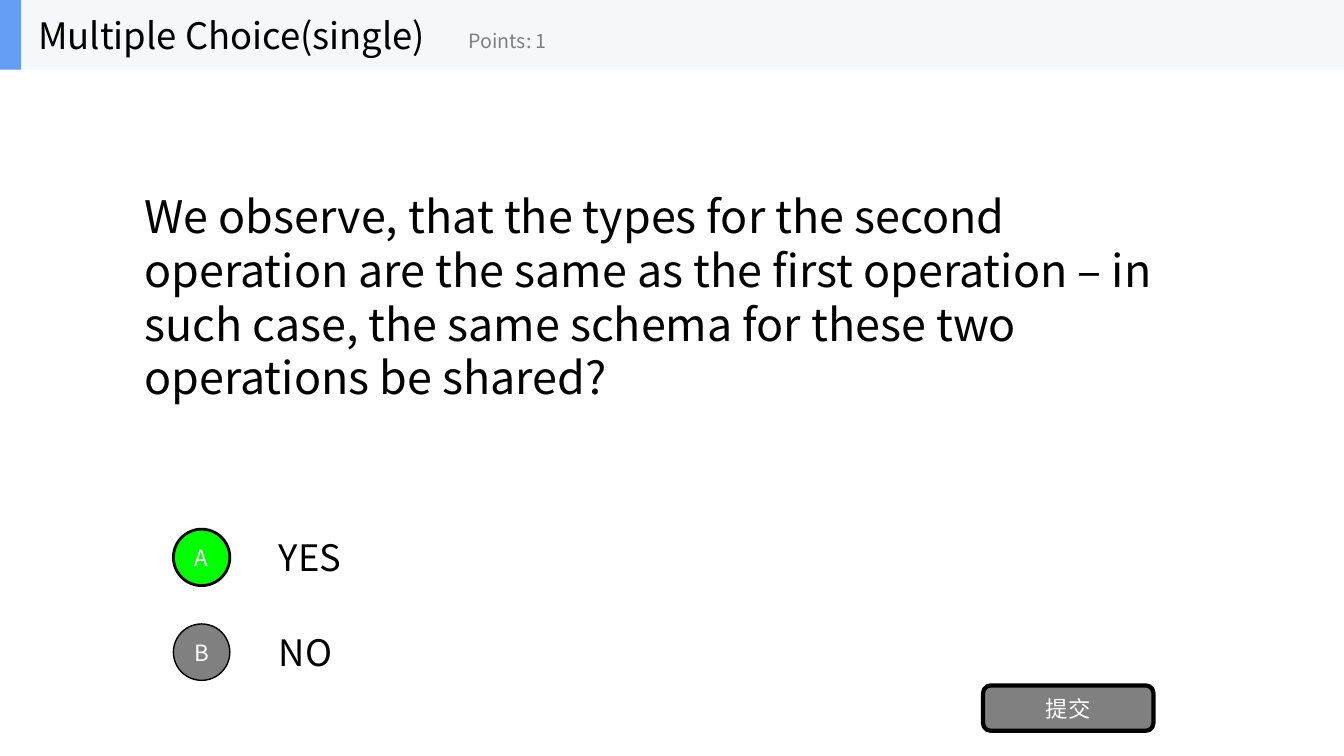
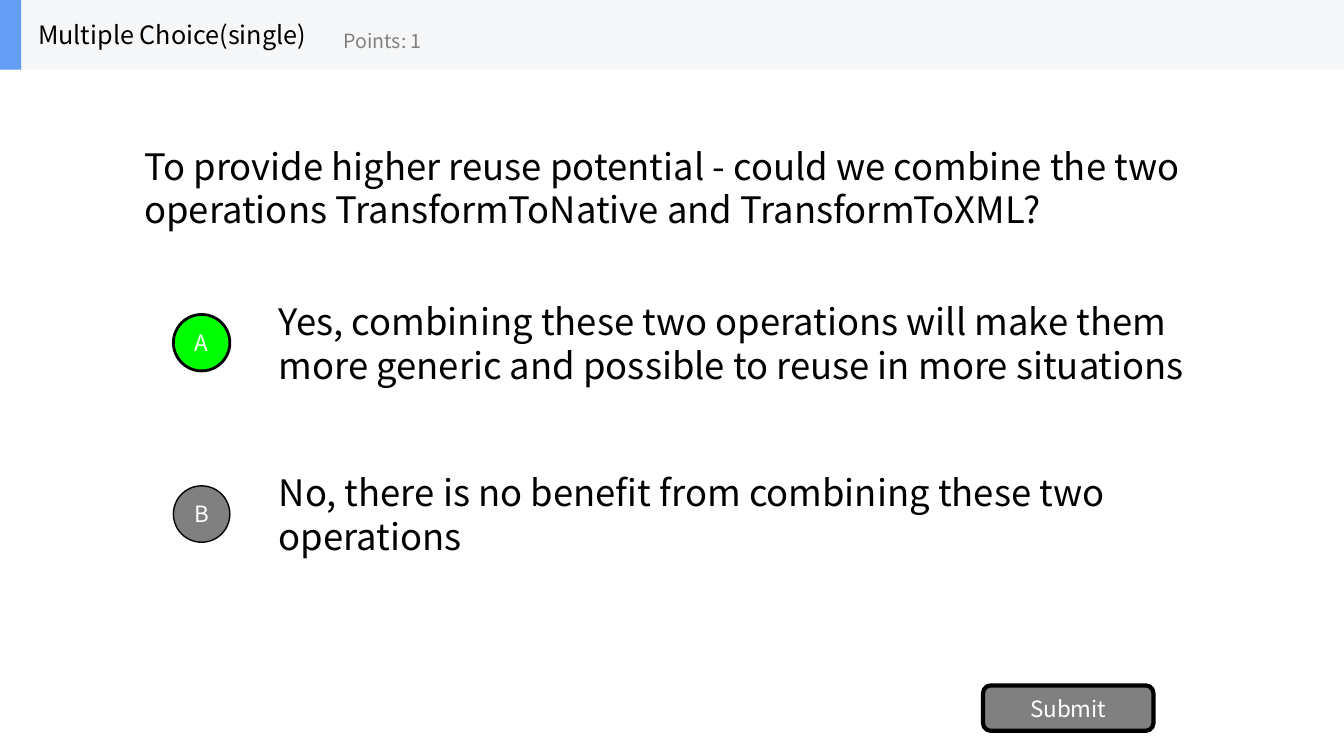
from pptx import Presentation
from pptx.dml.color import RGBColor
from pptx.enum.shapes import MSO_SHAPE
from pptx.enum.text import MSO_ANCHOR, PP_ALIGN
from pptx.oxml.ns import qn
from pptx.util import Inches, Pt
from lxml import etree

RECT, ROUND, OVAL = MSO_SHAPE.RECTANGLE, MSO_SHAPE.ROUNDED_RECTANGLE, MSO_SHAPE.OVAL
MIDDLE = MSO_ANCHOR.MIDDLE
LEFT, CENTER = PP_ALIGN.LEFT, PP_ALIGN.CENTER

# Shared style
FONT = "Noto Sans CJK SC"
BLACK, WHITE, GRAY = "000000", "FFFFFF", "808080"
GREEN, BAND, ACCENT = "00FF00", "F6F7F8", "639EF4"

# Shared grid, in inches
WIDTH, HEIGHT = 13.33, 7.5
COLUMN = WIDTH / 10
BAND_HEIGHT = 0.69
TITLE_LEFT = 0.28
QUESTION_HEIGHT = 2.34
OPTION_HEIGHT = 0.7
BADGE = 0.56
BADGE_LEFT = 1.72

QUIZ = [
    dict(
        title_size=26, points_left=4.55,
        question="We observe, that the types for the second operation are the same "
                 "as the first operation – in such case, the same schema for these "
                 "two operations be shared?",
        question_top=1.77, question_size=32,
        options=["YES", "NO"], options_top=5.18, option_step=0.94,
        button="提交",
    ),
    dict(
        title_size=18, points_left=3.31,
        question="To provide higher reuse potential - could we combine the two "
                 "operations TransformToNative and TransformToXML?",
        question_top=0.69, question_size=26,
        options=["Yes, combining these two operations will make them more generic "
                 "and possible to reuse in more situations",
                 "No, there is no benefit from combining these two operations"],
        options_top=3.05, option_step=1.7,
        button="Submit",
    ),
]


def rgb(value):
    return RGBColor.from_string(value)


def write(shape, text, size=26, color=BLACK, align=LEFT):
    frame = shape.text_frame
    frame.word_wrap = True
    frame.vertical_anchor = MIDDLE
    paragraph = frame.paragraphs[0]
    paragraph.alignment = align
    run = paragraph.add_run()
    run.text = text
    run.font.size = Pt(size)
    run.font.name = FONT
    run.font.color.rgb = rgb(color)
    # East Asian characters take their font from a separate element
    east_asian = etree.SubElement(run.font._element, qn("a:ea"))
    east_asian.set("typeface", FONT)


def add_text(slide, text, left, top, width, height, **style):
    box = slide.shapes.add_textbox(*map(Inches, (left, top, width, height)))
    write(box, text, **style)


def add_block(slide, kind, left, top, width, height, fill, line_width=0):
    block = slide.shapes.add_shape(kind, *map(Inches, (left, top, width, height)))
    block.shadow.inherit = False
    block.fill.solid()
    block.fill.fore_color.rgb = rgb(fill)
    if line_width:
        block.line.color.rgb = rgb(BLACK)
        block.line.width = Pt(line_width)
    else:
        block.line.fill.background()
    return block


def add_label(slide, kind, text, left, top, width, height, fill, line_width):
    block = add_block(slide, kind, left, top, width, height, fill, line_width)
    frame = block.text_frame
    frame.margin_left = frame.margin_right = frame.margin_top = frame.margin_bottom = 0
    write(block, text, size=16, color=WHITE, align=CENTER)


def add_header(slide, title_size, points_left):
    add_block(slide, RECT, 0, 0, WIDTH, BAND_HEIGHT, BAND)
    add_block(slide, RECT, 0, 0, 0.21, BAND_HEIGHT, ACCENT)
    # The title takes all the room up to the points
    add_text(slide, "Multiple Choice(single)", TITLE_LEFT, 0,
             points_left - TITLE_LEFT, BAND_HEIGHT, size=title_size)
    add_text(slide, "Points: 1", points_left, 0.12, 2.5, 0.56, size=14, color=GRAY)


def add_option(slide, letter, text, top, correct):
    add_text(slide, text, 2 * COLUMN, top, 7 * COLUMN, OPTION_HEIGHT)
    fill, line_width = (GREEN, 2) if correct else (GRAY, 1)
    add_label(slide, OVAL, letter, BADGE_LEFT, top + (OPTION_HEIGHT - BADGE) / 2,
              BADGE, BADGE, fill, line_width)


def add_question_slide(prs, item):
    slide = prs.slides.add_slide(prs.slide_layouts[6])
    add_text(slide, item["question"], COLUMN, item["question_top"],
             8 * COLUMN, QUESTION_HEIGHT, size=item["question_size"])
    # Answers: the first one is correct
    for row, (letter, text) in enumerate(zip("AB", item["options"])):
        top = item["options_top"] + row * item["option_step"]
        add_option(slide, letter, text, top, correct=row == 0)
    add_label(slide, ROUND, item["button"], 9.75, 6.8, 1.69, 0.45, GRAY, 3)
    add_header(slide, item["title_size"], item["points_left"])


def main():
    prs = Presentation()
    prs.slide_width, prs.slide_height = Inches(WIDTH), Inches(HEIGHT)
    for item in QUIZ:
        add_question_slide(prs, item)
    prs.save("out.pptx")


if __name__ == "__main__":
    main()
